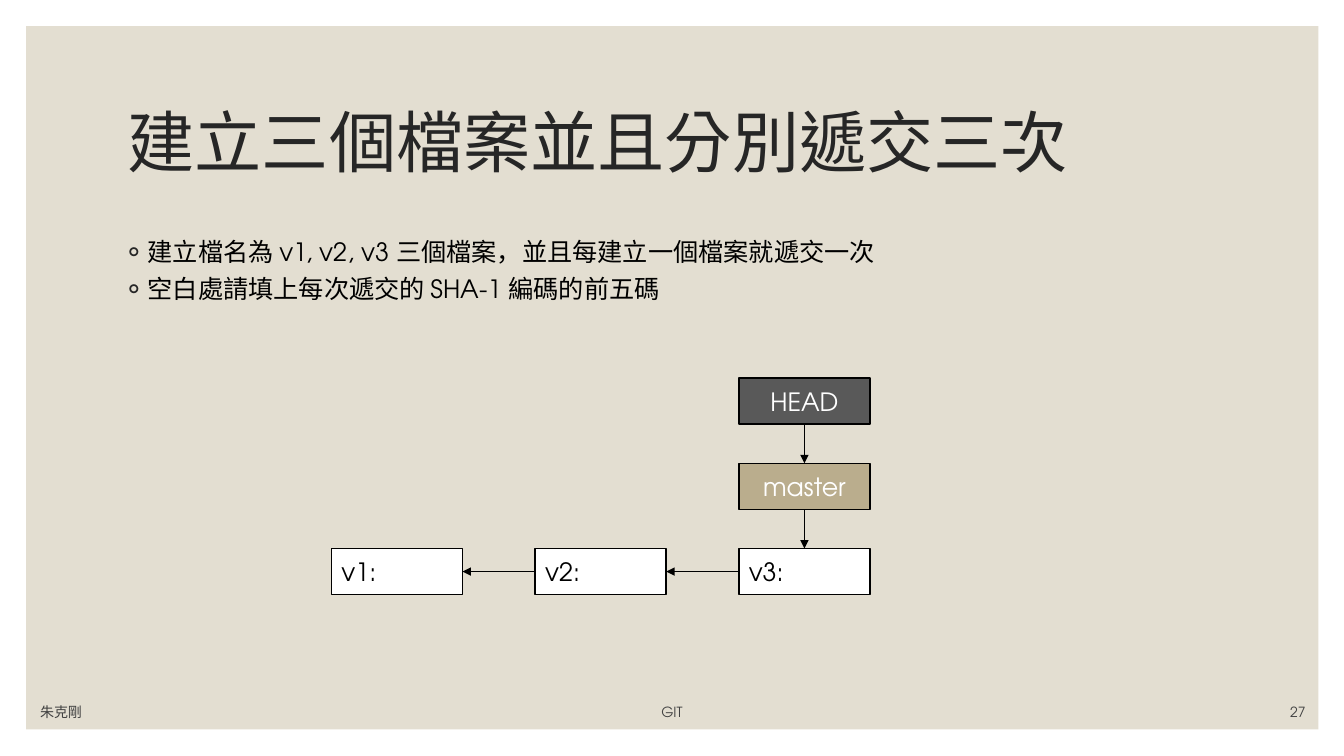
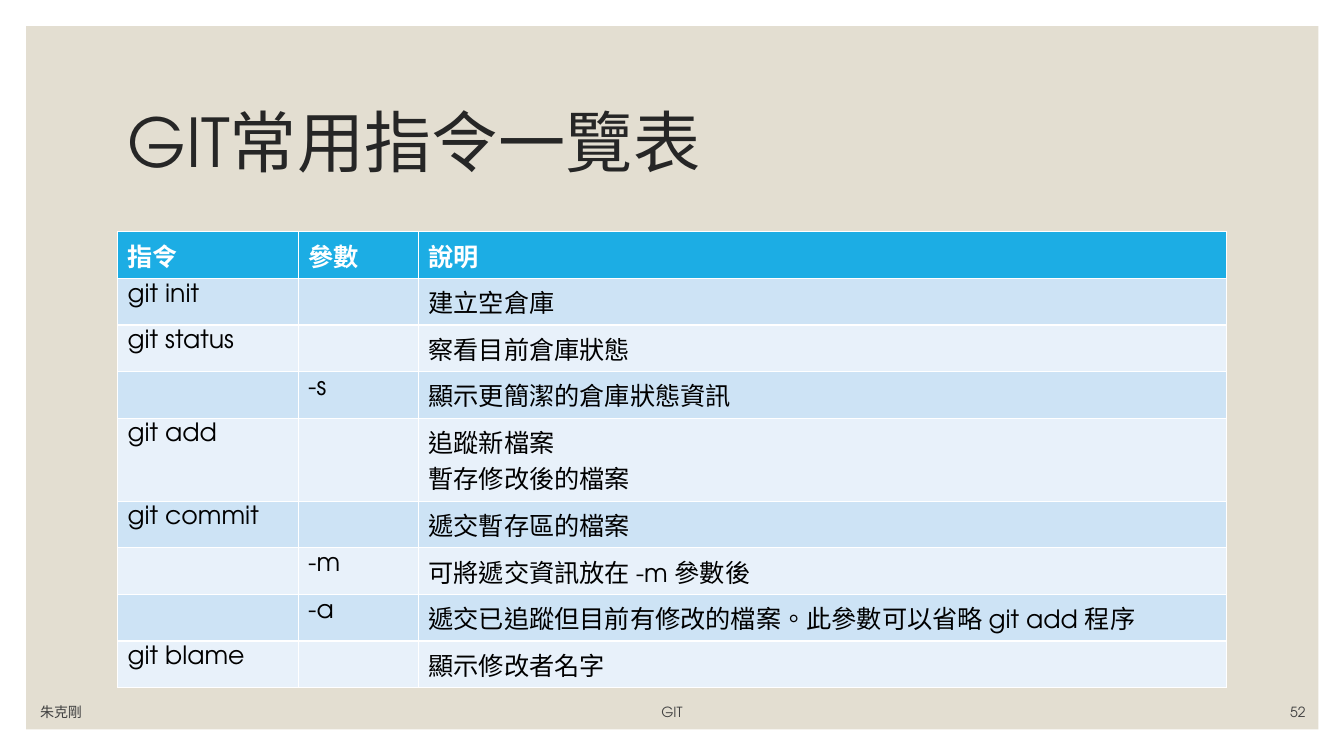
from lxml import etree
from pptx import Presentation
from pptx.dml.color import RGBColor
from pptx.enum import shapes, text
from pptx.oxml import parse_xml
from pptx.oxml.ns import nsdecls, qn
from pptx.util import Pt

FONT = "TeX Gyre Adventor"
BLACK, WHITE, BAND = "000000", "FFFFFF", "E3DED1"
TITLE, FOOTER = "262626", "404040"
HEAD_FILL, ROW_FILLS = "1CADE4", ("E8F1FA", "CDE3F5")
LEFT, CENTER, RIGHT = text.PP_ALIGN.LEFT, text.PP_ALIGN.CENTER, text.PP_ALIGN.RIGHT
TOP, MIDDLE, BOTTOM = text.MSO_ANCHOR.TOP, text.MSO_ANCHOR.MIDDLE, text.MSO_ANCHOR.BOTTOM
rgb = RGBColor.from_string


def write(tf, words, size=18, colour=BLACK, align=LEFT, anchor=TOP, lang="zh-TW"):
    """Fill a text frame, one paragraph for each line of words."""
    tf.text = words
    tf.word_wrap = True
    tf.vertical_anchor = anchor
    for p in tf.paragraphs:
        p.alignment = align
        p.font.size = Pt(size)
        p.font.name = FONT
        p.font.color.rgb = rgb(colour)
        for r in p.runs:
            r._r.get_or_add_rPr().set("lang", lang)


def add_box(s, x, y, w, h, fill, line=None):
    sp = s.shapes.add_shape(shapes.MSO_SHAPE.RECTANGLE, Pt(x), Pt(y), Pt(w), Pt(h))
    sp.shadow.inherit = False
    sp.fill.solid()
    sp.fill.fore_color.rgb = rgb(fill)
    if line:
        sp.line.color.rgb = rgb(line)
        sp.line.width = Pt(1)
    else:
        sp.line.fill.background()
    return sp


prs = Presentation()
prs.slide_width, prs.slide_height = Pt(960), Pt(540)

# Band, title and footer of every slide
for title, number in (("建立三個檔案並且分別遞交三次", "27"), ("GIT常用指令一覽表", "52")):
    s = prs.slides.add_slide(prs.slide_layouts[6])
    add_box(s, 18.7, 18.7, 923, 502.3, BAND)
    sp = s.shapes.add_textbox(Pt(84), Pt(50.4), Pt(792), Pt(108))
    write(sp.text_frame, title, 48, TITLE, anchor=MIDDLE)
    sp.text_frame.paragraphs[0].line_spacing = 0.9
    for words, x, w, align in (
        ("朱克剛", 21.6, 216, LEFT),
        ("GIT", 275, 410, CENTER),
        (number, 824.4, 115.2, RIGHT),
    ):
        sp = s.shapes.add_textbox(Pt(x), Pt(496.8), Pt(w), Pt(21.6))
        write(sp.text_frame, words, 10, FOOTER, align, BOTTOM)

exercise, commands = prs.slides

# Exercise: bullets
sp = exercise.shapes.add_textbox(Pt(84), Pt(165.6), Pt(792), Pt(309.6))
tf = sp.text_frame
write(tf, "建立檔名為 v1, v2, v3 三個檔案，並且每建立一個檔案就遞交一次\n"
          "空白處請填上每次遞交的 SHA-1 編碼的前五碼", lang="en-US")
for i, p in enumerate(tf.paragraphs):
    if i:
        p.space_before = Pt(4.3)
    pPr = p._p.get_or_add_pPr()
    pPr.set("marL", str(Pt(14.4)))
    pPr.set("indent", str(Pt(-14.4)))
    defaults = pPr.find(qn("a:defRPr"))
    for bullet in (
        f'<a:buClr {nsdecls("a")}><a:srgbClr val="{TITLE}"/></a:buClr>',
        f'<a:buFont {nsdecls("a")} typeface="{FONT}"/>',
        f'<a:buChar {nsdecls("a")} char="◦"/>',
    ):
        defaults.addprevious(parse_xml(bullet))

# Exercise: commits and references on a grid of columns and rows
boxes = {}
for words, column, row, fill, colour, align in (
    ("v1:", 0, 2, WHITE, BLACK, LEFT),
    ("v2:", 1, 2, WHITE, BLACK, LEFT),
    ("v3:", 2, 2, WHITE, BLACK, LEFT),
    ("HEAD", 2, 0, "595959", WHITE, CENTER),
    ("master", 2, 1, "BAAD8D", WHITE, CENTER),
):
    sp = add_box(exercise, 236.8 + 145.5 * column, 270 + 60.9 * row, 93.6, 33, fill, BLACK)
    write(sp.text_frame, words, 18, colour, align, MIDDLE)
    boxes[words] = sp

for start, start_side, end, end_side in (
    ("v2:", 1, "v1:", 3),
    ("v3:", 1, "v2:", 3),
    ("HEAD", 2, "master", 0),
    ("master", 2, "v3:", 0),
):
    arrow = exercise.shapes.add_connector(shapes.MSO_CONNECTOR.STRAIGHT, 0, 0, 0, 0)
    arrow.begin_connect(boxes[start], start_side)
    arrow.end_connect(boxes[end], end_side)
    arrow.line.color.rgb = rgb(BLACK)
    arrow.line.width = Pt(0.5)
    etree.SubElement(arrow.line._get_or_add_ln(), qn("a:tailEnd"), type="triangle")
    etree.SubElement(arrow._element.spPr, qn("a:effectLst"))

# Command table
rows = (
    ("指令", "參數", "說明"),
    ("git init", "", "建立空倉庫"),
    ("git status", "", "察看目前倉庫狀態"),
    ("", "-s", "顯示更簡潔的倉庫狀態資訊"),
    ("git add", "", "追蹤新檔案\n暫存修改後的檔案"),
    ("git commit", "", "遞交暫存區的檔案"),
    ("", "-m", "可將遞交資訊放在 -m 參數後"),
    ("", "-a", "遞交已追蹤但目前有修改的檔案。此參數可以省略 git add 程序"),
    ("git blame", "", "顯示修改者名字"),
)
ROW_HEIGHT, EXTRA_LINE = 33.3, 26
table = commands.shapes.add_table(
    len(rows), 3, Pt(84), Pt(165.6), Pt(792), Pt(ROW_HEIGHT * len(rows) + EXTRA_LINE)).table
for column, width in zip(table.columns, (129, 86, 577)):
    column.width = Pt(width)
for i, row in enumerate(rows):
    table.rows[i].height = Pt(ROW_HEIGHT + EXTRA_LINE * row[2].count("\n"))
    for j, words in enumerate(row):
        cell = table.cell(i, j)
        write(cell.text_frame, words, colour=BLACK if i else WHITE)
        for p in cell.text_frame.paragraphs:
            p.font.bold = i == 0
        tcPr = cell._tc.get_or_add_tcPr()
        for side in ("lnL", "lnR", "lnT", "lnB"):
            width = Pt(1.5 if i == 0 and side == "lnB" else 1)
            tcPr.append(parse_xml(
                f'<a:{side} {nsdecls("a")} w="{width}"><a:solidFill>'
                f'<a:srgbClr val="{WHITE}"/></a:solidFill></a:{side}>'))
        cell.fill.solid()
        cell.fill.fore_color.rgb = rgb(ROW_FILLS[i % 2] if i else HEAD_FILL)

prs.save("out.pptx")
